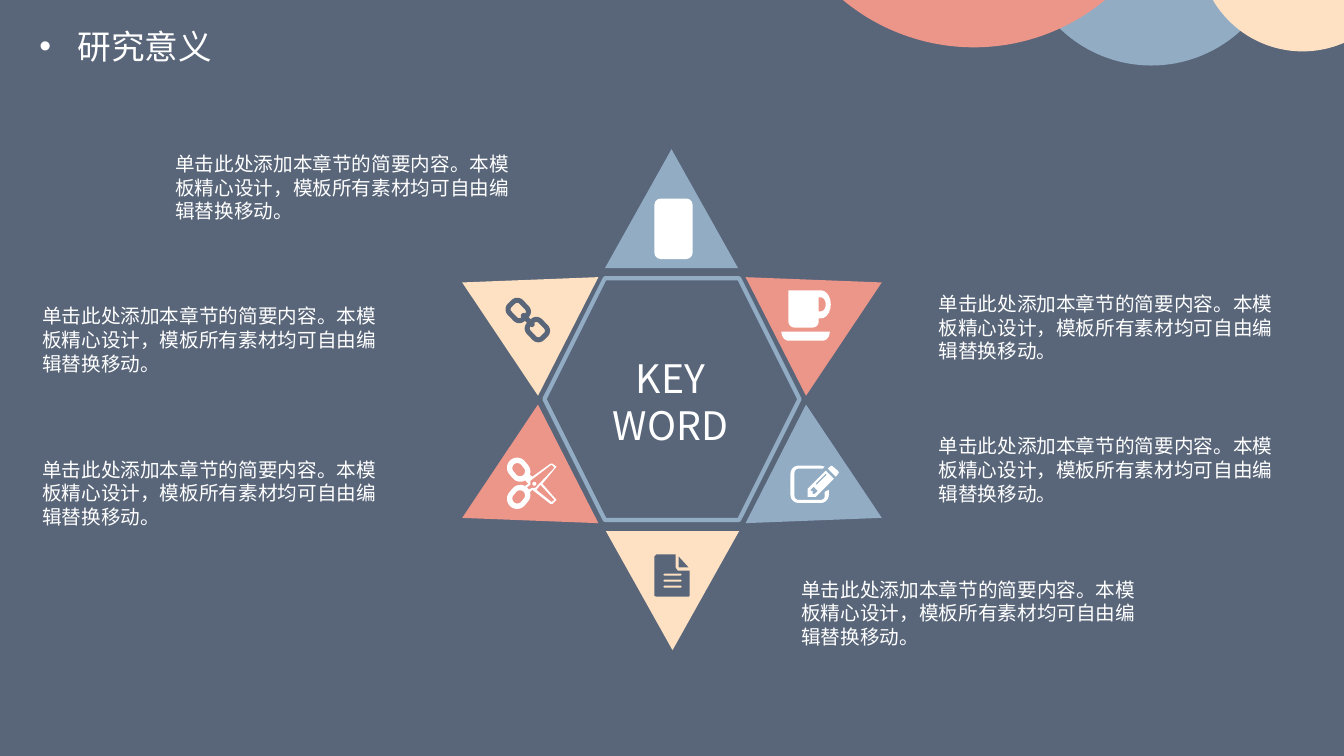
from math import cos, radians, sin, sqrt

from lxml import etree
from pptx import Presentation
from pptx.dml.color import RGBColor
from pptx.enum.shapes import MSO_SHAPE
from pptx.enum.text import MSO_ANCHOR, MSO_AUTO_SIZE, PP_ALIGN
from pptx.oxml.ns import qn
from pptx.util import Inches, Pt

TOP, MIDDLE = MSO_ANCHOR.TOP, MSO_ANCHOR.MIDDLE
LEFT, CENTER, JUSTIFY = PP_ALIGN.LEFT, PP_ALIGN.CENTER, PP_ALIGN.JUSTIFY
TRIANGLE, HEXAGON = MSO_SHAPE.ISOSCELES_TRIANGLE, MSO_SHAPE.HEXAGON
ROUNDED = MSO_SHAPE.ROUNDED_RECTANGLE

SLIDE_W, SLIDE_H = 13.33, 7.5
FONT = "Noto Sans CJK SC"
SLATE, BLUE, CORAL, CREAM, WHITE = "59667A", "92ACC4", "EC9589", "FEE1C2", "FFFFFF"
BODY = "单击此处添加本章节的简要内容。本模板精心设计，模板所有素材均可自由编辑替换移动。"


def rgb(value):
    return RGBColor.from_string(value)


def paint(sp, fill, line=None, width=0):
    sp.shadow.inherit = False
    sp.fill.solid()
    sp.fill.fore_color.rgb = rgb(fill)
    if line:
        sp.line.color.rgb = rgb(line)
        sp.line.width = Pt(width)
    else:
        sp.line.fill.background()
    return sp


def preset(s, kind, x, y, w, h, fill, **line):
    sp = s.shapes.add_shape(kind, Inches(x), Inches(y), Inches(w), Inches(h))
    return paint(sp, fill, **line)


def outline(s, x, y, contours, fill):
    """One freeform; each contour is a list of points relative to (x, y)."""
    builder = None
    for points in contours:
        points = [(Inches(px), Inches(py)) for px, py in points]
        if builder is None:
            builder = s.shapes.build_freeform(*points[0], scale=1.0)
        else:
            builder.move_to(*points[0])
        builder.add_line_segments(points[1:], close=True)
    paint(builder.convert_to_shape(Inches(x), Inches(y)), fill)


def write(tf, lines, size, align, anchor, margins, spacing=None):
    frame = {"word_wrap": True, "auto_size": MSO_AUTO_SIZE.NONE, "vertical_anchor": anchor}
    sides = ("margin_left", "margin_top", "margin_right", "margin_bottom")
    frame.update(zip(sides, map(Inches, margins)))
    for name, value in frame.items():
        setattr(tf, name, value)
    for i, text in enumerate(lines):
        p = tf.paragraphs[0] if i == 0 else tf.add_paragraph()
        p.alignment = align
        if spacing:
            p.line_spacing = Pt(spacing)
        r = p.add_run()
        r.text = text
        for name, value in {"name": FONT, "size": Pt(size)}.items():
            setattr(r.font, name, value)
        r.font.color.rgb = rgb(WHITE)
        etree.SubElement(r.font._element, qn("a:ea"), typeface=FONT)


def text_box(s, x, y, w, h, *args, **kwargs):
    sp = s.shapes.add_textbox(Inches(x), Inches(y), Inches(w), Inches(h))
    write(sp.text_frame, *args, **kwargs)


# Curves used by the icons
def arc(cx, cy, rx, start, end, ry=None, steps=10):
    angles = [radians(start + (end - start) * i / steps) for i in range(steps + 1)]
    return [(cx + rx * cos(a), cy + (ry or rx) * sin(a)) for a in angles]


def rounded(cx, cy, w, h, radius, angle=0):
    dx, dy = w / 2 - radius, h / 2 - radius
    corners = ((dx, dy), (-dx, dy), (-dx, -dy), (dx, -dy))
    points = [pt for i, (x, y) in enumerate(corners)
              for pt in arc(x, y, radius, 90 * i, 90 * i + 90)]
    c, n = cos(radians(angle)), sin(radians(angle))
    return [(cx + x * c - y * n, cy + x * n + y * c) for x, y in points]


# Icons, each placed from its top left corner
def badge_icon(s, x, y):
    preset(s, ROUNDED, x, y, 0.38, 0.6, WHITE)


def link_icon(s, x, y):
    rings = [rounded(cx, cy, w, h, radius, 46)
             for cx, cy in ((0.12, 0.13), (0.31, 0.32))
             for w, h, radius in ((0.24, 0.21, 0.08), (0.14, 0.11, 0.03))]
    outline(s, x, y, rings, SLATE)
    outline(s, x, y, [rounded(0.215, 0.225, 0.17, 0.05, 0.02, 46)], SLATE)


def scissors_icon(s, x, y):
    rings = [rounded(0.105, cy, w, h, h / 2, angle)
             for cy, angle in ((0.12, 50), (0.39, -50))
             for w, h in ((0.25, 0.2), (0.14, 0.1))]
    outline(s, x, y, rings, WHITE)
    body = [(0.17, 0.28), (0.2, 0.26), (0.17, 0.23), (0.2, 0.16), (0.24, 0.19),
            (0.42, 0.06), (0.44, 0.06), (0.48, 0.09), (0.34, 0.26), (0.48, 0.42),
            (0.44, 0.46), (0.42, 0.46), (0.24, 0.32), (0.21, 0.35), (0.17, 0.3)]
    upper = [(0.27, 0.3), (0.46, 0.1), (0.43, 0.07), (0.22, 0.23), (0.22, 0.27),
             (0.18, 0.3), (0.2, 0.32), (0.24, 0.3)]
    lower = [(0.46, 0.42), (0.32, 0.27), (0.28, 0.32), (0.43, 0.44)]
    outline(s, x, y, [body, upper, lower, arc(0.26, 0.26, 0.02, 0, 360)], WHITE)


def edit_icon(s, x, y):
    sheet = [(0.38, 0.24), *arc(0.3, 0.29, 0.08, 0, 90), *arc(0.08, 0.29, 0.08, 90, 180),
             *arc(0.08, 0.08, 0.08, 180, 270), (0.3, 0), (0.34, 0.01), (0.32, 0.03),
             *arc(0.08, 0.07, 0.04, 270, 180), *arc(0.08, 0.3, 0.04, 180, 90),
             *arc(0.3, 0.3, 0.04, 90, 0), (0.34, 0.26)]
    pencil = [(0.17, 0.23), (0.35, 0.05), (0.43, 0.13), (0.25, 0.31), (0.17, 0.31)]
    tip = [(0.27, 0.25), (0.23, 0.21), (0.2, 0.24), (0.2, 0.25), (0.22, 0.25),
           (0.22, 0.28), (0.24, 0.28)]
    slit = [(0.35, 0.08), (0.25, 0.18), (0.26, 0.19), (0.36, 0.09)]
    eraser = [(0.45, 0.11), (0.37, 0.03), (0.39, 0.01), (0.41, 0), (0.47, 0.05), (0.48, 0.07)]
    outline(s, x, y, [sheet, pencil, tip, slit, eraser], WHITE)


def document_icon(s, x, y):
    page = [(0, 0.02), (0.02, 0), (0.21, 0), (0.21, 0.13), (0.23, 0.16), (0.35, 0.16),
            (0.35, 0.41), (0.34, 0.42), (0.02, 0.42), (0, 0.41)]
    fold = [(0.24, 0.02), (0.34, 0.13), (0.24, 0.13)]
    rows = [rounded(0.18, 0.2 + 0.06 * i, 0.18, 0.02, 0.01) for i in range(3)]
    outline(s, x, y, [page, fold, *rows], SLATE)


def cup_icon(s, x, y):
    saucer = [(0, 0.41), (0.48, 0.41), *arc(0.41, 0.41, 0.07, 0, 90, 0.09),
              *arc(0.07, 0.41, 0.07, 90, 180, 0.09)]
    cup = [(0.07, 0), *arc(0.39, 0.14, 0.1, -90, 90, 0.14), (0.37, 0.28),
           *arc(0.31, 0.31, 0.06, 0, 90), *arc(0.13, 0.31, 0.06, 90, 180)]
    handle = [(0.37, 0.07), *arc(0.39, 0.14, 0.05, -90, 90, 0.07), (0.37, 0.21)]
    outline(s, x, y, [saucer, cup, handle], WHITE)


# Regions
def corner_circles(s):
    """Circle caps hanging from the top edge: centre, half width, depth."""
    for cx, half, depth, fill in ((11.42, 1.13, 0.65, BLUE), (9.66, 1.3, 0.47, CORAL),
                                  (12.92, 0.89, 0.51, CREAM)):
        radius = (half ** 2 + depth ** 2) / (2 * depth)
        start, end = cx - half, min(cx + half, SLIDE_W)
        xs = [start + (end - start) * i / 60 for i in range(61)]
        edge = [(px, depth - radius + sqrt(radius ** 2 - (px - cx) ** 2)) for px in xs]
        outline(s, 0, 0, [[(start, 0), *edge, (end, 0)]], fill)


def heading(s, x, y, w, h, text):
    sp = s.shapes.title
    for name, value in {"left": x, "top": y, "width": w, "height": h}.items():
        setattr(sp, name, Inches(value))
    write(sp.text_frame, [text], 24, JUSTIFY, TOP, (0, 0.05, 0.1, 0.05))
    pPr = sp.text_frame.paragraphs[0]._p.get_or_add_pPr()
    pPr.set("marL", str(Inches(0.38)))
    pPr.set("indent", str(-Inches(0.38)))
    etree.SubElement(pPr, qn("a:buFont"), typeface="Arial")
    etree.SubElement(pPr, qn("a:buChar"), char="•")


def star(s, x, y):
    """Hexagon with six points around it; (x, y) is the star's top left corner."""
    preset(s, HEXAGON, x + 0.95, y + 1.28, 2.53, 2.4, SLATE, line=BLUE, width=3)
    points = ((3.11, 1, 63, CORAL, cup_icon, 3.3, 1.4),
              (0, 1, 297, CREAM, link_icon, 0.57, 1.47),
              (1.55, 0, 0, BLUE, badge_icon, 2.04, 0.49),
              (1.56, 3.79, 180, CREAM, document_icon, 2.04, 4.02),
              (3.11, 2.8, 117, BLUE, edit_icon, 3.39, 3.14),
              (0, 2.8, 243, CORAL, scissors_icon, 0.59, 3.06))
    for dx, dy, angle, fill, icon, icon_x, icon_y in points:
        preset(s, TRIANGLE, x + dx, y + dy, 1.32, 1.18, fill).rotation = angle
        icon(s, x + icon_x, y + icon_y)
    text_box(s, x + 1.3, y + 1.95, 1.8, 1.1, ["KEY", "WORD"], 28, CENTER, MIDDLE,
             (0, 0, 0, 0), spacing=33.6)


def descriptions(s):
    for x, y in ((1.64, 1.46), (0.32, 2.97), (0.32, 4.49),
                 (9.21, 2.85), (9.21, 4.26), (7.85, 5.68)):
        text_box(s, x, y, 3.6, 0.95, [BODY], 14, LEFT, TOP, (0.1, 0.05, 0.1, 0.05))


def main():
    prs = Presentation()
    prs.slide_width, prs.slide_height = Inches(SLIDE_W), Inches(SLIDE_H)
    s = prs.slides.add_slide(prs.slide_layouts[5])
    s.background.fill.solid()
    s.background.fill.fore_color.rgb = rgb(SLATE)
    corner_circles(s)
    heading(s, 0.39, 0.21, 2.24, 0.5, "研究意义")
    star(s, 4.45, 1.48)
    descriptions(s)
    prs.save("out.pptx")


if __name__ == "__main__":
    main()
